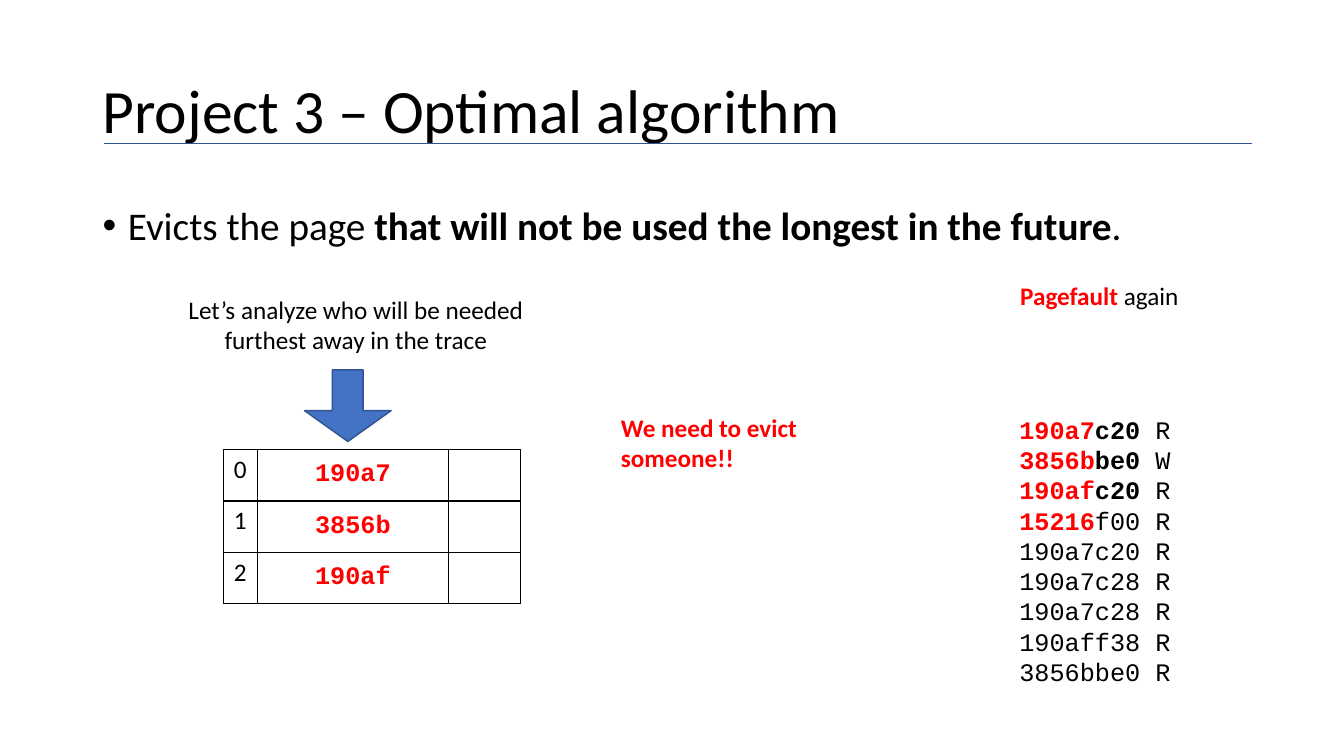
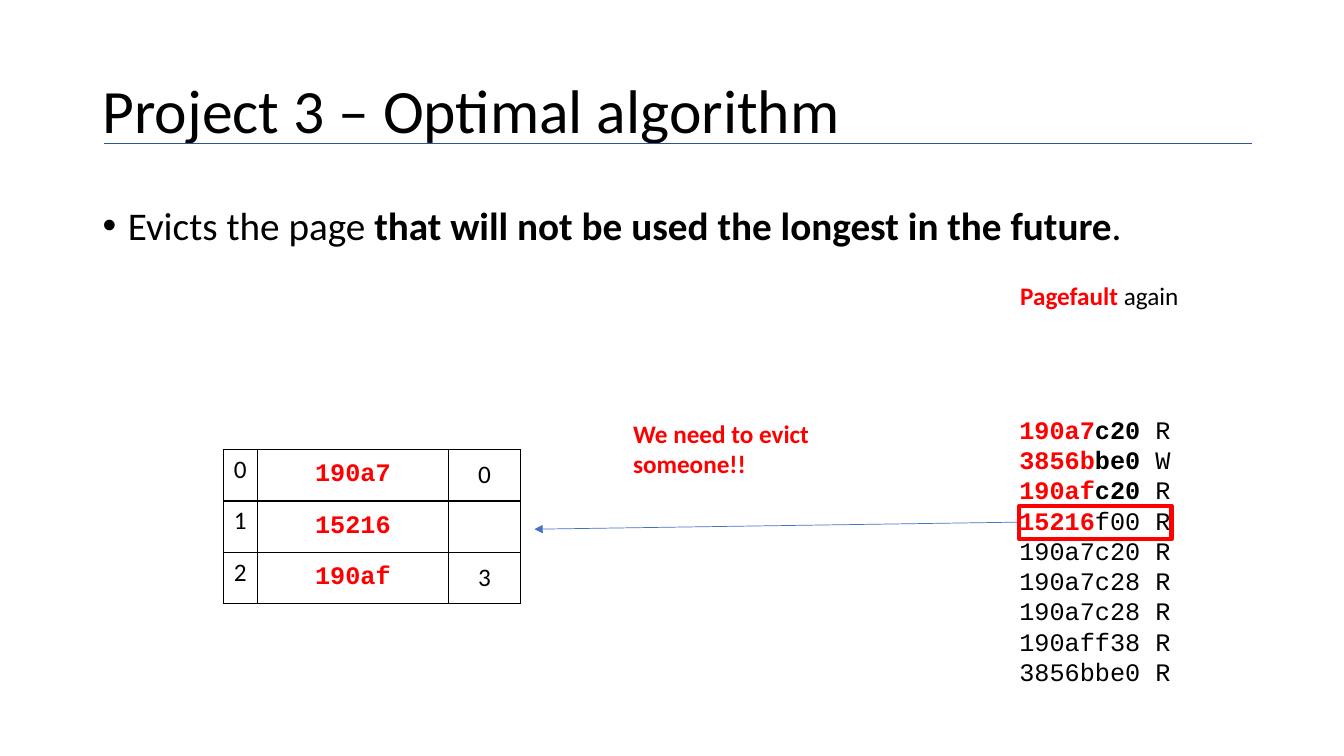
from dataclasses import dataclass

from lxml.etree import SubElement
from pptx import Presentation
from pptx.dml.color import RGBColor
from pptx.enum.shapes import MSO_CONNECTOR as Connector, MSO_SHAPE as Shape
from pptx.enum.text import MSO_ANCHOR as Anchor, PP_ALIGN as Align
from pptx.oxml import parse_xml
from pptx.oxml.ns import nsdecls, qn
from pptx.util import Inches, Pt


@dataclass(frozen=True)
class Theme:
    black: str = "000000"
    red: str = "FF0000"
    blue: str = "4472C4"
    arrow_edge: str = "325491"
    rule: str = "2F5597"
    sans: str = "Calibri"
    mono: str = "Courier New"
    title_size: int = 44
    bullet_size: int = 28
    text_size: int = 18


THEME = Theme()

# Run styles: (colour, bold)
PLAIN, BOLD, HOT = (THEME.black, False), (THEME.black, True), (THEME.red, True)

# Content: a line of text is a list of (text, style) runs
TITLE = [("Project 3 – Optimal algorithm", PLAIN)]
RULE = [("Evicts the page ", PLAIN),
        ("that will not be used the longest in the future", BOLD),
        (".", PLAIN)]
TRACE = [
    [("190a7", HOT), ("c20 ", BOLD), ("R", PLAIN)],
    [("3856b", HOT), ("be0", BOLD), (" W", PLAIN)],
    [("190af", HOT), ("c20", BOLD), (" R", PLAIN)],
    [("15216", HOT), ("f00 R", PLAIN)],
    [("190a7c20 R", PLAIN)],
    [("190a7c28 R", PLAIN)],
    [("190a7c28 R", PLAIN)],
    [("190aff38 R", PLAIN)],
    [("3856bbe0 R", PLAIN)],
]
FAULT = [("Pagefault", HOT), (" again", PLAIN)]
EVICT = [("We need to evict someone!!", HOT)]
ANALYZE = [("Let’s analyze who will be needed furthest away in the trace", PLAIN)]

# Each frame: (page, distance to its next use)
STEPS = [
    {"frames": [("190a7", ""), ("3856b", ""), ("190af", "")],
     "evict_at": (6.06, 4.04), "add": "analysis"},
    {"frames": [("190a7", "0"), ("15216", ""), ("190af", "3")],
     "evict_at": (6.18, 4.10), "add": "replacement"},
]
FRAME_COLUMNS = (0.33, 1.9, 0.71)
FRAME_ROW = 0.51


def rgb(colour):
    return RGBColor.from_string(colour)


def write_runs(paragraph, runs, size=THEME.text_size, face=THEME.sans, align=Align.LEFT):
    paragraph.alignment = align
    for text, (colour, bold) in runs:
        run = paragraph.add_run()
        run.text = text
        run.font.size, run.font.name, run.font.bold = Pt(size), face, bold
        run.font.color.rgb = rgb(colour)


def add_text(slide, box, lines, anchor=Anchor.TOP, spacing=None, **style):
    frame = slide.shapes.add_textbox(*map(Inches, box)).text_frame
    frame.word_wrap = True
    frame.vertical_anchor = anchor
    for number, runs in enumerate(lines):
        paragraph = frame.add_paragraph() if number else frame.paragraphs[0]
        paragraph.line_spacing = spacing
        write_runs(paragraph, runs, **style)
    return frame


def add_line(slide, start, end, colour):
    line = slide.shapes.add_connector(Connector.STRAIGHT, *map(Inches, start + end))
    line.line.color.rgb = rgb(colour)
    line.line.width = Pt(0.5)
    SubElement(line._element.spPr, qn("a:effectLst"))
    return line


def add_outlined(slide, kind, box, edge, width, fill=None):
    shape = slide.shapes.add_shape(kind, *map(Inches, box))
    shape.shadow.inherit = False
    if fill:
        shape.fill.solid()
        shape.fill.fore_color.rgb = rgb(fill)
    else:
        shape.fill.background()
    shape.line.color.rgb = rgb(edge)
    shape.line.width = Pt(width)
    return shape


def add_bullet(paragraph):
    properties = paragraph._p.get_or_add_pPr()
    properties.set("marL", str(Inches(0.25)))
    properties.set("indent", str(-Inches(0.25)))
    SubElement(properties, qn("a:buFont"), typeface="Arial")
    SubElement(properties, qn("a:buChar"), char="•")


def border_cell(cell):
    properties = cell._tc.get_or_add_tcPr()
    for position, side in enumerate(("lnL", "lnR", "lnT", "lnB")):
        properties.insert(position, parse_xml(
            f'<a:{side} {nsdecls("a")} w="{Pt(1)}"><a:solidFill>'
            f'<a:srgbClr val="{THEME.black}"/></a:solidFill></a:{side}>'))


def add_frames(slide, frames):
    size = (sum(FRAME_COLUMNS), FRAME_ROW * len(frames))
    table = slide.shapes.add_table(len(frames), len(FRAME_COLUMNS),
                                   *map(Inches, (2.22, 4.46) + size)).table
    table.first_row = table.horz_banding = False
    for column, width in zip(table.columns, FRAME_COLUMNS):
        column.width = Inches(width)
    for index, (page, distance) in enumerate(frames):
        table.rows[index].height = Inches(FRAME_ROW)
        looks = [
            (str(index), PLAIN, THEME.sans, Align.LEFT, Anchor.TOP),
            (page, HOT, THEME.mono, Align.CENTER, Anchor.MIDDLE),
            (distance, PLAIN, THEME.sans, Align.CENTER, Anchor.MIDDLE),
        ]
        for cell, (text, style, face, align, anchor) in zip(table.rows[index].cells, looks):
            cell.fill.background()
            border_cell(cell)
            cell.vertical_anchor = anchor
            if text:
                write_runs(cell.text_frame.paragraphs[0], [(text, style)],
                           face=face, align=align)


def add_analysis(slide):
    arrow = add_outlined(slide, Shape.DOWN_ARROW, (3.02, 3.67, 0.86, 0.71),
                         THEME.arrow_edge, 1, THEME.blue)
    arrow.adjustments[0], arrow.adjustments[1] = 0.355, 0.431
    add_text(slide, (1.6, 2.87, 3.86, 0.71), [ANALYZE], align=Align.CENTER)


def add_replacement(slide):
    pointer = add_line(slide, (10.11, 5.18), (5.3, 5.25), THEME.blue)
    SubElement(pointer.line._get_or_add_ln(), qn("a:tailEnd"), type="triangle")
    add_outlined(slide, Shape.RECTANGLE, (10.11, 5.02, 1.51, 0.33), THEME.red, 3)


ADDITIONS = {"analysis": add_analysis, "replacement": add_replacement}


def build_step(slide, step):
    # Title and rule of the algorithm
    add_text(slide, (0.92, 0.4, 11.5, 1.45), [TITLE], anchor=Anchor.MIDDLE,
             spacing=0.9, size=THEME.title_size)
    add_line(slide, (1.03, 1.42), (12.42, 1.42), THEME.rule)
    rule = add_text(slide, (0.92, 2, 11.5, 1.84), [RULE],
                    spacing=0.9, size=THEME.bullet_size)
    add_bullet(rule.paragraphs[0])

    # Memory trace, frames and remarks
    add_text(slide, (8.82, 4.06, 4.08, 3.13), TRACE,
             face=THEME.mono, align=Align.CENTER)
    add_frames(slide, step["frames"])
    add_text(slide, (10.02, 2.73, 2.28, 0.4), [FAULT])
    add_text(slide, step["evict_at"] + (2.28, 0.71), [EVICT])

    # What only this step shows
    ADDITIONS[step["add"]](slide)


def main():
    deck = Presentation()
    deck.slide_width, deck.slide_height = Inches(13.33), Inches(7.5)
    for step in STEPS:
        build_step(deck.slides.add_slide(deck.slide_layouts[6]), step)
    deck.save("out.pptx")


if __name__ == "__main__":
    main()
